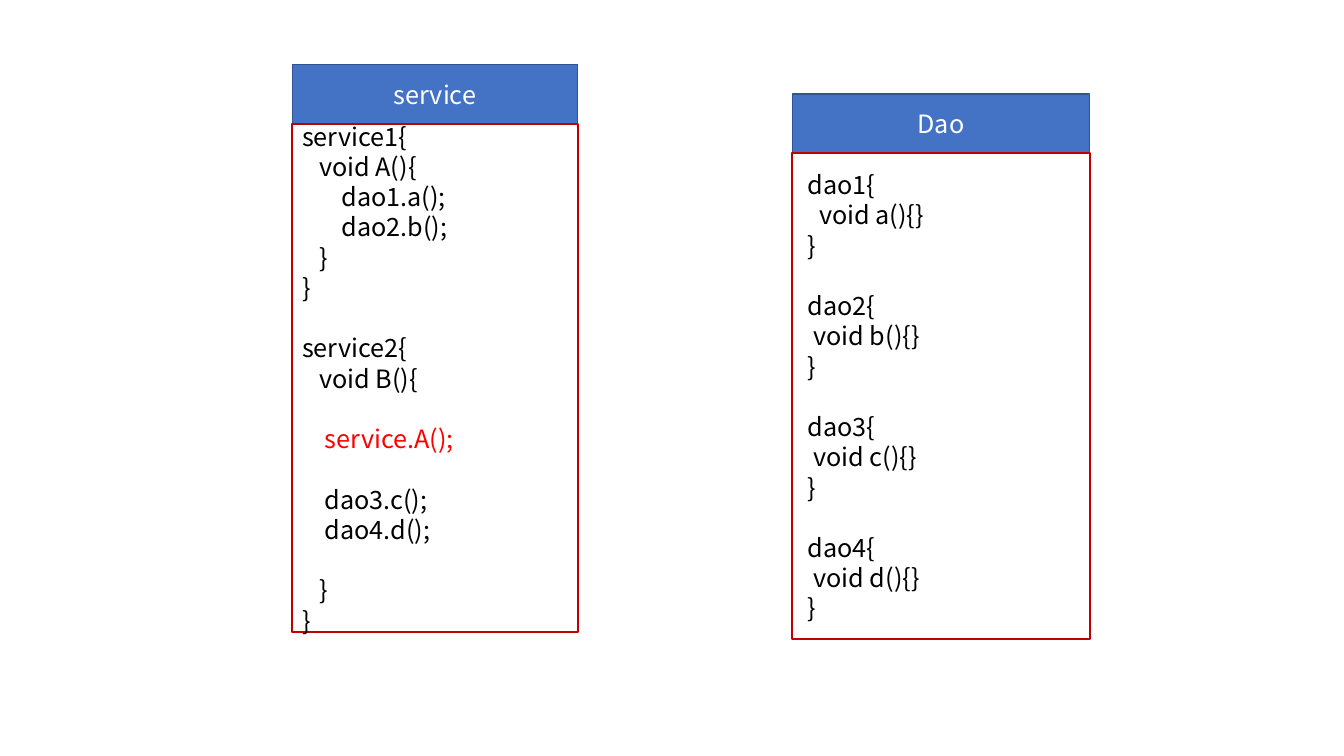
from dataclasses import dataclass

from pptx import Presentation
from pptx.dml.color import RGBColor
from pptx.enum.shapes import MSO_SHAPE
from pptx.enum.text import MSO_ANCHOR, PP_ALIGN
from pptx.oxml.ns import qn
from pptx.shapes.autoshape import Shape
from pptx.slide import Slide
from pptx.util import Pt


@dataclass(frozen=True)
class Theme:
    """Colours, font and type sizes of the slide."""
    header_fill: RGBColor = RGBColor(0x44, 0x72, 0xC4)
    header_line: RGBColor = RGBColor(0x32, 0x54, 0x91)
    body_fill: RGBColor = RGBColor(0xFF, 0xFF, 0xFF)
    body_line: RGBColor = RGBColor(0xC0, 0x00, 0x00)
    header_text: RGBColor = RGBColor(0xFF, 0xFF, 0xFF)
    code_text: RGBColor = RGBColor(0x00, 0x00, 0x00)
    highlight: RGBColor = RGBColor(0xFF, 0x00, 0x00)
    font: str = "Noto Sans CJK SC"
    size: float = 18
    line_height: float = 21.6
    column_width: float = 4.04


THEME = Theme()
HEADER_HEIGHT = 42.5


@dataclass(frozen=True)
class CodeLine:
    """A line of code, indented by columns, with an optional gap above."""
    text: str
    column: int = 0
    gap: bool = False
    color: RGBColor = THEME.code_text


@dataclass(frozen=True)
class Panel:
    """A headed box of code, measured in points."""
    title: str
    left: float
    top: float
    width: float
    body_height: float
    lines: list[CodeLine]


def dao_lines() -> list[CodeLine]:
    """Return the code of the four dao classes."""
    lines = []
    for number, method in enumerate("abcd", start=1):
        lines += [
            CodeLine(f"dao{number}{{", 1, gap=number > 1),
            CodeLine(f"void {method}(){{}}", 3 if number == 1 else 2),
            CodeLine("}", 1),
        ]
    return lines


SERVICE_LINES = [
    CodeLine("service1{"),
    CodeLine("void A(){", 3),
    CodeLine("dao1.a();", 7),
    CodeLine("dao2.b();", 7),
    CodeLine("}", 3),
    CodeLine("}"),
    CodeLine("service2{", gap=True),
    CodeLine("void B(){", 3),
    CodeLine("service.A();", 4, gap=True, color=THEME.highlight),
    CodeLine("dao3.c();", 4, gap=True),
    CodeLine("dao4.d();", 4),
    CodeLine("}", 3, gap=True),
    CodeLine("}"),
]

PANELS = [
    Panel("service", 208.8, 46.1, 203.8, 362.9, SERVICE_LINES),
    Panel("Dao", 565.9, 67, 212.4, 347, dao_lines()),
]


def add_box(slide: Slide, left: float, top: float, width: float, height: float,
            *, fill: RGBColor, line: RGBColor, line_width: float) -> Shape:
    """Add a flat rectangle whose text is centred vertically."""
    shape = slide.shapes.add_shape(
        MSO_SHAPE.RECTANGLE, Pt(left), Pt(top), Pt(width), Pt(height))
    shape.shadow.inherit = False
    shape.fill.solid()
    shape.fill.fore_color.rgb = fill
    shape.line.color.rgb = line
    shape.line.width = Pt(line_width)
    shape.text_frame.word_wrap = True
    shape.text_frame.vertical_anchor = MSO_ANCHOR.MIDDLE
    return shape


def write_line(shape: Shape, text: str, *, color: RGBColor, first: bool = True,
               align: PP_ALIGN = PP_ALIGN.LEFT, column: int = 0,
               gap: bool = False) -> None:
    """Write one formatted paragraph into a shape."""
    frame = shape.text_frame
    paragraph = frame.paragraphs[0] if first else frame.add_paragraph()
    paragraph.alignment = align
    paragraph.line_spacing = Pt(THEME.line_height)
    paragraph.space_before = Pt(THEME.line_height if gap else 0)
    properties = paragraph._p.get_or_add_pPr()
    properties.set("marL", str(Pt(column * THEME.column_width)))
    properties.set("indent", "0")
    run = paragraph.add_run()
    run.text = text
    run.font.name = THEME.font
    run.font.size = Pt(THEME.size)
    run.font.color.rgb = color
    east_asian = run._r.get_or_add_rPr().makeelement(
        qn("a:ea"), {"typeface": THEME.font})
    run._r.rPr.append(east_asian)


def add_panel(slide: Slide, panel: Panel) -> None:
    """Draw a panel's header and its code box."""
    header = add_box(slide, panel.left, panel.top, panel.width, HEADER_HEIGHT,
                     fill=THEME.header_fill, line=THEME.header_line, line_width=1)
    write_line(header, panel.title, color=THEME.header_text, align=PP_ALIGN.CENTER)
    body = add_box(slide, panel.left, panel.top + HEADER_HEIGHT,
                   panel.width, panel.body_height,
                   fill=THEME.body_fill, line=THEME.body_line, line_width=1.5)
    for index, line in enumerate(panel.lines):
        write_line(body, line.text, color=line.color, first=index == 0,
                   column=line.column, gap=line.gap)


def main() -> None:
    """Build and save the presentation."""
    presentation = Presentation()
    presentation.slide_width = Pt(960)
    presentation.slide_height = Pt(540)
    slide = presentation.slides.add_slide(presentation.slide_layouts[6])
    for panel in PANELS:
        add_panel(slide, panel)
    presentation.save("out.pptx")


main()
